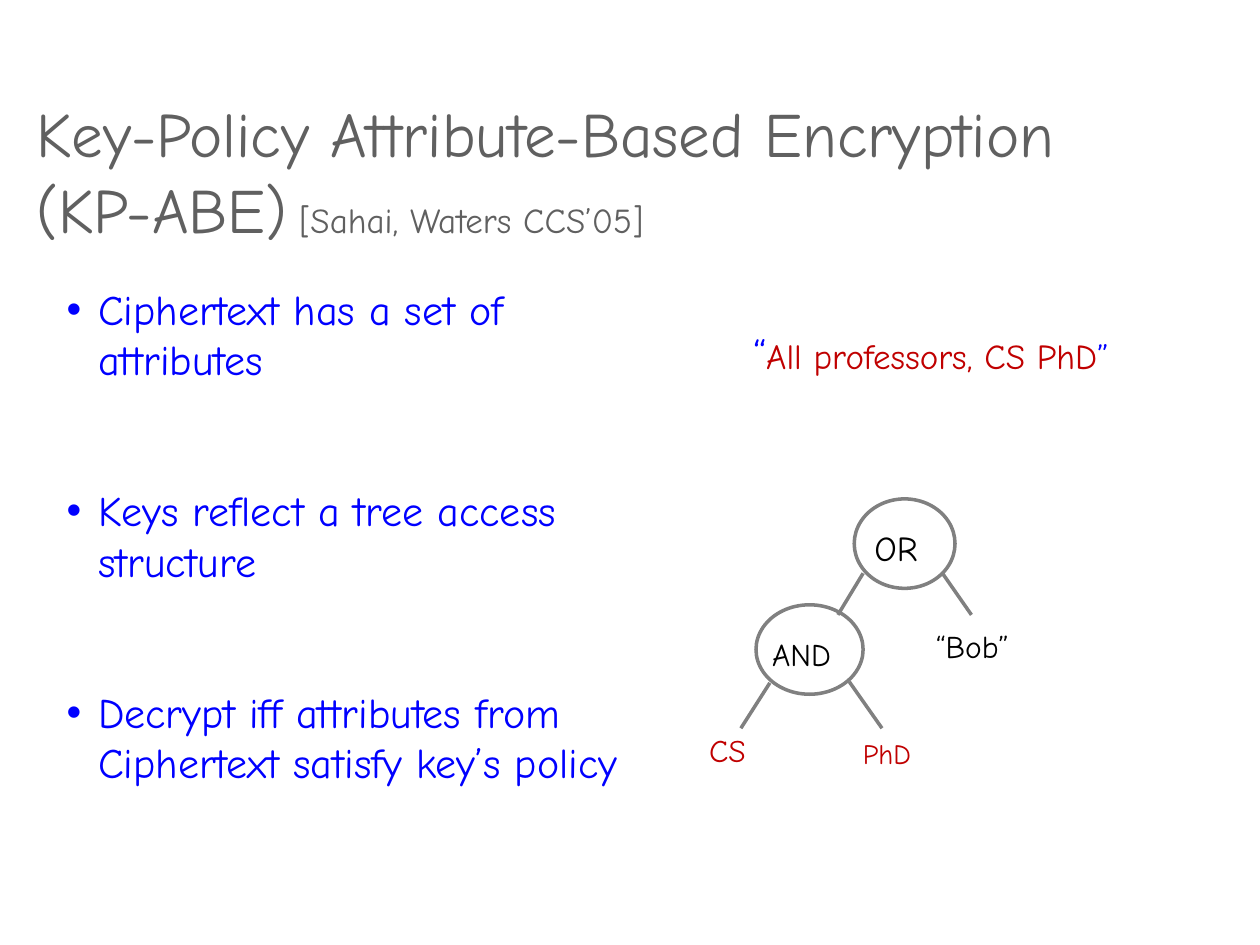
from dataclasses import dataclass
from lxml.etree import SubElement
from pptx import Presentation
from pptx.dml.color import RGBColor
from pptx.enum.shapes import MSO_CONNECTOR as Connector, MSO_SHAPE as Preset
from pptx.enum.text import MSO_ANCHOR as Anchor
from pptx.oxml.ns import qn
from pptx.util import Inches, Pt


@dataclass(frozen=True)
class Theme:
    """Colours, type sizes and line width of the slide."""
    font: str = "Comic Neue"
    heading: str = "606060"
    body: str = "0000FF"
    accent: str = "C00000"
    ink: str = "000000"
    edge: str = "808080"
    title_size: int = 36
    body_size: int = 24
    label_size: int = 20
    leaf_size: int = 18
    small_size: int = 16
    edge_width: int = 2


THEME = Theme()


def set_values(target, values):
    """Set each named attribute of the target."""
    for name, value in values.items():
        setattr(target, name, value)


def add_run(paragraph, words, size, color):
    """Append a run in the theme font."""
    run = paragraph.add_run()
    run.text = words
    set_values(run.font, {"name": THEME.font, "size": Pt(size)})
    run.font.color.rgb = RGBColor.from_string(color)


def add_frame(slide, box, anchor=Anchor.TOP):
    """Add a wrapping text box and return its text frame."""
    frame = slide.shapes.add_textbox(*map(Inches, box)).text_frame
    set_values(frame, {"word_wrap": True, "vertical_anchor": anchor})
    return frame


def add_label(slide, box, words, size, color):
    """Add a text box holding a single run."""
    add_run(add_frame(slide, box).paragraphs[0], words, size, color)


def draw_edge_line(line):
    """Give a line the colour and width of the tree."""
    line.color.rgb = RGBColor.from_string(THEME.edge)
    line.width = Pt(THEME.edge_width)


def add_title(slide, box):
    """Place the two-line heading with its citation."""
    heading = add_frame(slide, box, Anchor.BOTTOM).paragraphs[0]
    add_run(heading, "Key-Policy Attribute-Based Encryption", THEME.title_size, THEME.heading)
    heading.add_line_break()
    add_run(heading, "(KP-ABE)", THEME.title_size, THEME.heading)
    add_run(heading, " [Sahai, Waters CCS’05]", THEME.label_size, THEME.heading)


def add_points(slide, box, points):
    """Place the widely spaced bullet points."""
    frame = add_frame(slide, box)
    for index, words in enumerate(points):
        point = frame.add_paragraph() if index else frame.paragraphs[0]
        point.space_before = Pt(57.6 if index else 0)
        properties = point._p.get_or_add_pPr()
        properties.set("marL", str(Inches(0.25)))
        properties.set("indent", str(-Inches(0.25)))
        SubElement(properties, qn("a:buFont"), typeface="Arial")
        SubElement(properties, qn("a:buChar"), char="•")
        add_run(point, words, THEME.body_size, THEME.body)


def add_attributes(slide, box):
    """Place the quoted attribute set of the ciphertext."""
    quote = add_frame(slide, box).paragraphs[0]
    add_run(quote, "“", THEME.body_size, THEME.body)
    add_run(quote, "All professors, CS PhD", THEME.label_size, THEME.accent)
    add_run(quote, "”", THEME.label_size, THEME.body)


def add_access_tree(slide, box):
    """Place the gates, branches and leaves of the access tree."""
    left, top = box[:2]
    gates = [(1.25, 0, 0.8, 0.71), (0.47, 0.84, 0.85, 0.71)]
    labels = [
        ((1.31, 0.17, 0.69, 0.44), "OR", THEME.label_size, THEME.ink),
        ((0.5, 1.03, 0.81, 0.4), "AND", THEME.leaf_size, THEME.ink),
        ((0, 1.79, 0.56, 0.4), "CS", THEME.leaf_size, THEME.accent),
        ((1.22, 1.84, 0.63, 0.37), "PhD", THEME.small_size, THEME.accent),
        ((1.8, 0.97, 1.83, 0.4), "“Bob”", THEME.leaf_size, THEME.ink),
    ]
    branches = [
        (1.32, 0.59, 1.12, 0.92),
        (1.95, 0.59, 2.18, 0.92),
        (0.58, 1.46, 0.35, 1.82),
        (1.21, 1.45, 1.47, 1.82),
    ]
    for x, y, width, height in gates:
        gate = slide.shapes.add_shape(
            Preset.OVAL, *map(Inches, (left + x, top + y, width, height)))
        gate.shadow.inherit = False
        gate.fill.background()
        draw_edge_line(gate.line)
    for (x, y, width, height), words, size, color in labels:
        add_label(slide, (left + x, top + y, width, height), words, size, color)
    for x1, y1, x2, y2 in branches:
        branch = slide.shapes.add_connector(
            Connector.STRAIGHT,
            *map(Inches, (left + x1, top + y1, left + x2, top + y2)))
        draw_edge_line(branch.line)
        SubElement(branch._element.spPr, qn("a:effectLst"))


def main():
    """Build and save the slide."""
    deck = Presentation()
    set_values(deck, {"slide_width": Inches(10), "slide_height": Inches(7.5)})
    slide = deck.slides.add_slide(deck.slide_layouts[6])
    add_title(slide, (0.19, 0.67, 10.64, 1.33))
    add_points(slide, (0.43, 2.2, 4.78, 4.54), [
        "Ciphertext has a set of attributes",
        "Keys reflect a tree access structure",
        "Decrypt iff attributes from Ciphertext satisfy key’s policy",
    ])
    add_access_tree(slide, (5.53, 3.96, 3.63, 2.21))
    add_attributes(slide, (5.88, 2.55, 3.43, 0.5))
    deck.save("out.pptx")


if __name__ == "__main__":
    main()
